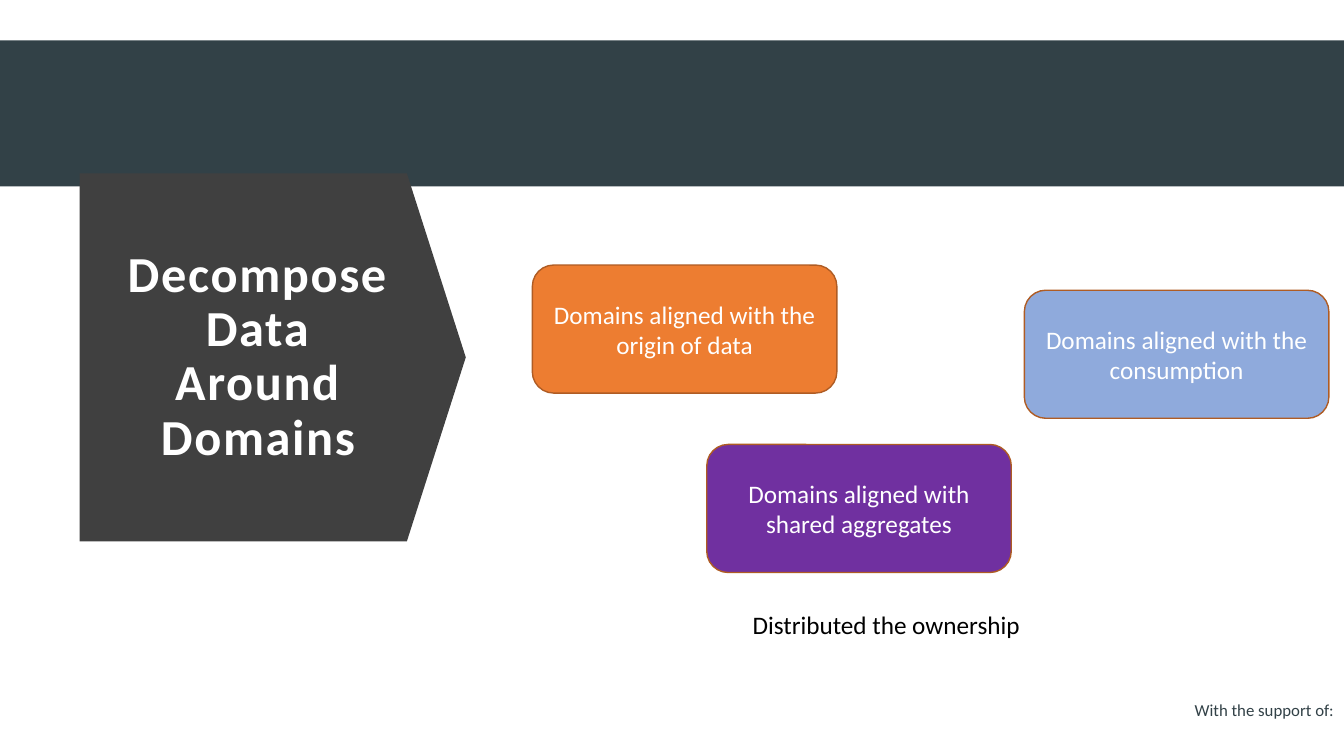
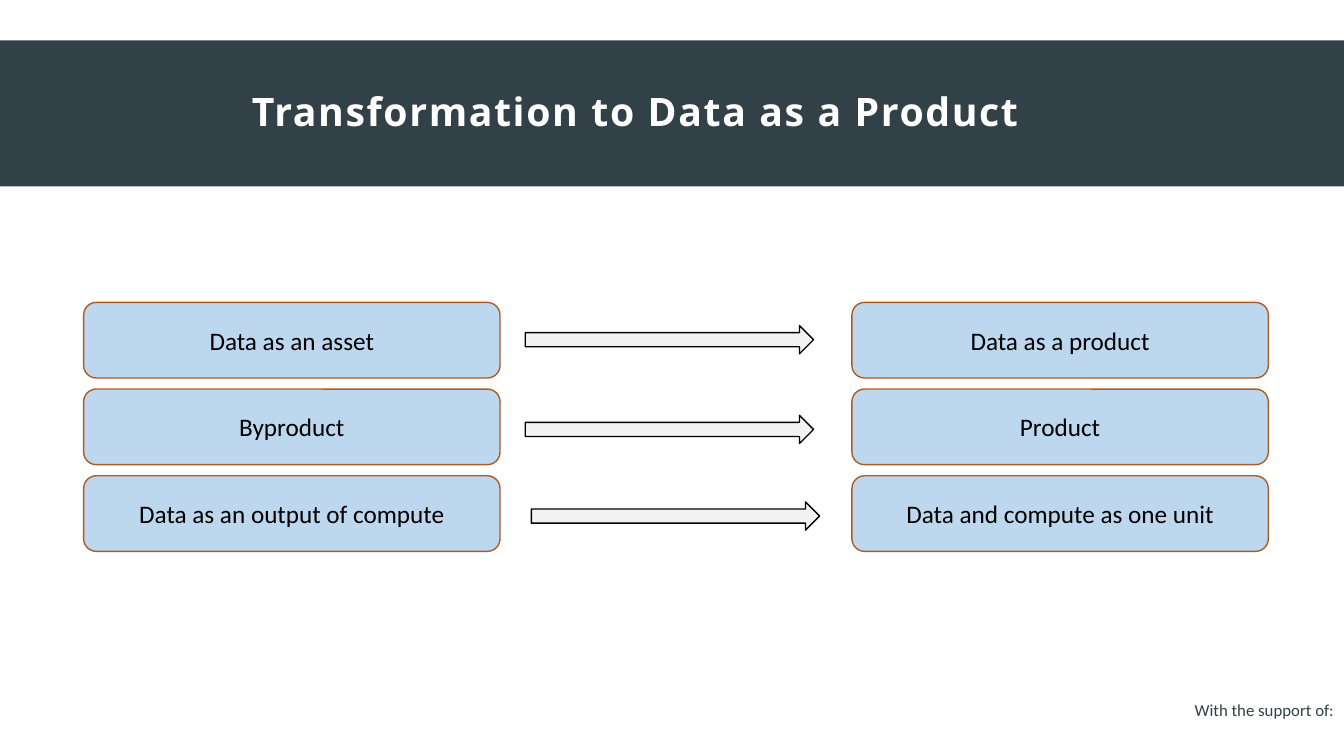
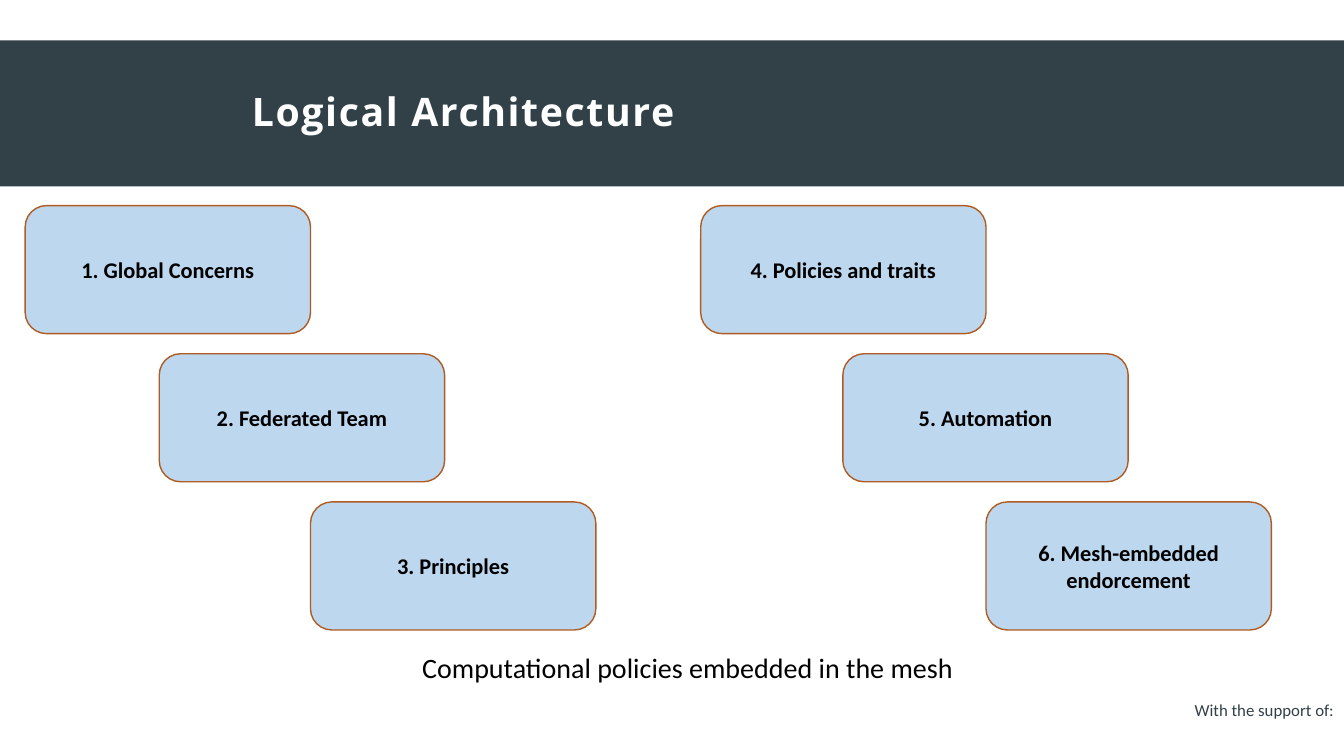
from dataclasses import dataclass
from pptx import Presentation
from pptx.dml.color import RGBColor
from pptx.enum.shapes import MSO_SHAPE
from pptx.enum.text import MSO_ANCHOR, PP_ALIGN
from pptx.util import Pt

SCALE = 9144
RECT = MSO_SHAPE.RECTANGLE
ROUND = MSO_SHAPE.ROUNDED_RECTANGLE
ARROW = MSO_SHAPE.RIGHT_ARROW
PLATE = MSO_SHAPE.PENTAGON
LEFT = PP_ALIGN.LEFT
CENTER = PP_ALIGN.CENTER
TOP = MSO_ANCHOR.TOP
MIDDLE = MSO_ANCHOR.MIDDLE


@dataclass(frozen=True)
class Theme:
    band: str = "324147"
    plate: str = "404040"
    white: str = "FFFFFF"
    black: str = "000000"
    edge: str = "AF5C24"
    orange: str = "ED7D31"
    purple: str = "7030A0"
    blue: str = "8FAADC"
    pale: str = "BDD7EE"
    gray: str = "F2F2F2"
    font: str = "Calibri"
    head: str = "Open Sans"
    hero: int = 36
    title: int = 28
    large: int = 20
    body: int = 18
    label: int = 16
    small: int = 12


THEME = Theme()


def px(*sizes):
    return [size * SCALE for size in sizes]


def write(frame, text, size=THEME.body, color=THEME.black, font=THEME.font,
          bold=False, align=CENTER, anchor=TOP, wrap=True, lead=None, track=None):
    frame.word_wrap = wrap
    frame.vertical_anchor = anchor
    para = frame.paragraphs[0]
    para.alignment = align
    if lead:
        para.line_spacing = lead
    run = para.add_run()
    run.text = text
    run.font.size = Pt(size)
    run.font.name = font
    run.font.bold = bold
    run.font.color.rgb = RGBColor.from_string(color)
    if track:
        run.font._element.set("spc", str(track))


def label(slide, box, text, **style):
    write(slide.shapes.add_textbox(*px(*box)).text_frame, text, **style)


def block(slide, kind, box, fill, line=None):
    shape = slide.shapes.add_shape(kind, *px(*box))
    shape.shadow.inherit = False
    shape.fill.solid()
    shape.fill.fore_color.rgb = RGBColor.from_string(fill)
    if line:
        shape.line.color.rgb = RGBColor.from_string(line)
        shape.line.width = Pt(1)
    else:
        shape.line.fill.background()
    return shape


def card(slide, box, text, fill=THEME.pale, **style):
    shape = block(slide, ROUND, box, fill, THEME.edge)
    write(shape.text_frame, text, anchor=MIDDLE, **style)


def heading(slide, box, text, **style):
    write(slide.shapes.add_textbox(*px(*box)).text_frame, text,
          color=THEME.white, bold=True, anchor=MIDDLE, lead=0.9, track=120, **style)


def base(deck, title=None):
    slide = deck.slides.add_slide(deck.slide_layouts[6])
    block(slide, RECT, (0, 40, 1333, 145), THEME.band)
    label(slide, (1174, 689, 160, 30), "With the support of:",
          size=THEME.small, color=THEME.band, wrap=False)
    if title:
        heading(slide, (240, 40, 1002, 145), title,
                size=THEME.title, font=THEME.head, align=LEFT)
    return slide


def banner(slide, box, text):
    x, y, w, h = box
    block(slide, PLATE, box, THEME.plate).adjustments[0] = 0.16
    heading(slide, (x + 33, y + 43, w - 95, h - 86), text, size=THEME.hero)


def cluster(slide, box, items):
    x, y, w, h = box
    for dx, dy, fill, text in items:
        card(slide, (x + dx, y + dy, w, h), text, fill=fill, color=THEME.white)


def shift(slide, box, rows):
    x, y, w, step = box
    wide, high = 413, 75
    for row, (old, new, dx, dy) in enumerate(rows):
        top = y + row * step
        card(slide, (x, top, wide, high), old)
        card(slide, (x + w - wide, top, wide, high), new)
        block(slide, ARROW, (x + dx, top + dy, 286, 28), THEME.gray, THEME.black)


def stairs(slide, box, steps):
    x, y, w, h = box
    for row, (dx, text) in enumerate(steps):
        card(slide, (x + dx, y + row * (h + 20), w, h), text,
             size=THEME.label, bold=True)


def domains(deck):
    slide = base(deck)
    banner(slide, (79, 172, 383, 365), "Decompose Data Around Domains")
    label(slide, (492, 600, 774, 40), "Distributed the ownership")
    cluster(slide, (528, 263, 302, 127), [
        (0, 0, THEME.orange, "Domains aligned with the origin of data"),
        (173, 178, THEME.purple, "Domains aligned with shared aggregates"),
        (488, 25, THEME.blue, "Domains aligned with the consumption"),
    ])


def product(deck):
    slide = base(deck, "Transformation to Data as a Product")
    shift(slide, (83, 300, 1175, 86), [
        ("Data as an asset", "Data as a product", 438, 23),
        ("Byproduct", "Product", 438, 26),
        ("Data as an output of compute", "Data and compute as one unit", 444, 26),
    ])


def logic(deck):
    slide = base(deck, "Logical Architecture")
    label(slide, (66, 640, 1232, 44), "Computational policies embedded in the mesh",
          size=THEME.large)
    stairs(slide, (25, 204, 283, 127), [
        (0, "1. Global Concerns"),
        (133, "2. Federated Team"),
        (283, "3. Principles"),
    ])
    stairs(slide, (695, 204, 283, 127), [
        (0, "4. Policies and traits"),
        (141, "5. Automation"),
        (283, "6. Mesh-embedded endorcement"),
    ])


def main():
    deck = Presentation()
    deck.slide_width, deck.slide_height = px(1333, 750)
    for build in (domains, product, logic):
        build(deck)
    deck.save("out.pptx")


if __name__ == "__main__":
    main()
